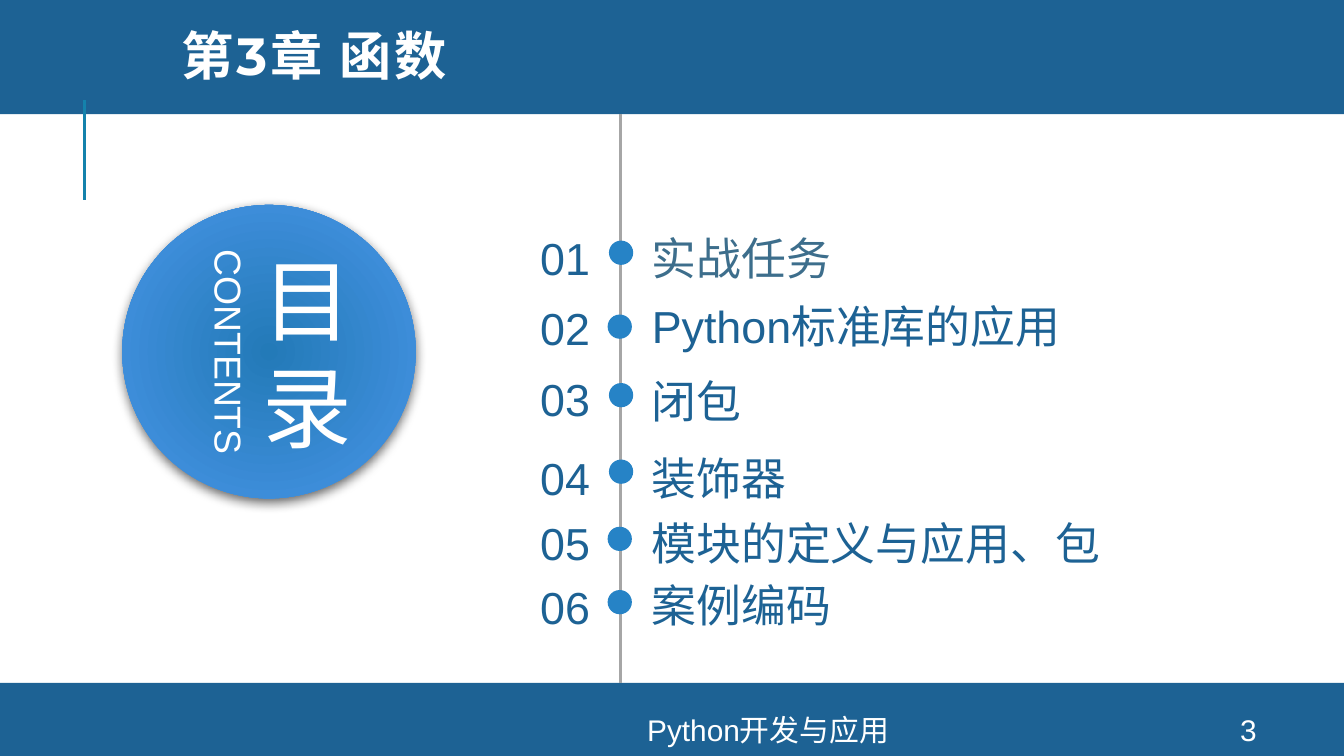
from dataclasses import dataclass
from lxml.etree import SubElement
from pptx import Presentation
from pptx.dml.color import RGBColor
from pptx.enum.shapes import MSO_CONNECTOR, MSO_SHAPE
from pptx.enum.text import MSO_ANCHOR, MSO_AUTO_SIZE, PP_ALIGN
from pptx.oxml import parse_xml
from pptx.oxml.ns import nsdecls, qn
from pptx.util import Pt

COLORS = {
    "band": "1D6294", "accent": "1482AC", "divider": "A6A6A6",
    "dot": "2683C6", "muted": "3D6E8C", "white": "FFFFFF",
    "disc_in": "237AB8", "disc_out": "4895E7", "shadow": "000000",
}


@dataclass
class Box:
    x: float
    y: float
    w: float
    h: float

    def lengths(self) -> tuple:
        return Pt(self.x), Pt(self.y), Pt(self.w), Pt(self.h)


@dataclass
class Style:
    size: float
    color: str = "white"
    align: PP_ALIGN = PP_ALIGN.CENTER
    anchor: MSO_ANCHOR = MSO_ANCHOR.MIDDLE
    font: str = "Arial"
    bold: bool = False
    spacing: float = 0
    inset: bool = True
    grow: bool = False


@dataclass
class Entry:
    label: str
    number_y: float
    label_y: float
    dot_x: float
    dot_y: float
    color: str = "band"


ENTRIES = [
    Entry("实战任务", 123.8, 123.8, 326.2, 128.9, "muted"),
    Entry("Python标准库的应用", 161.3, 159.8, 325.5, 168.5),
    Entry("闭包", 199.4, 200.2, 326.2, 205.2),
    Entry("装饰器", 241.2, 241.2, 326.2, 246.2),
    Entry("模块的定义与应用、包", 276.5, 276.5, 325.5, 282.2),
    Entry("案例编码", 310.3, 309.6, 325.5, 316.1),
]


def rgb(name: str) -> RGBColor:
    return RGBColor.from_string(COLORS[name])


def write(sp, lines: list[str], style: Style) -> None:
    tf = sp.text_frame
    tf.word_wrap = True
    tf.auto_size = MSO_AUTO_SIZE.SHAPE_TO_FIT_TEXT if style.grow else MSO_AUTO_SIZE.NONE
    tf.vertical_anchor = style.anchor
    if not style.inset:
        tf.margin_left = tf.margin_top = tf.margin_right = tf.margin_bottom = 0
    for i, line in enumerate(lines):
        p = tf.paragraphs[0] if i == 0 else tf.add_paragraph()
        p.alignment = style.align
        r = p.add_run()
        r.text = line
        if style.spacing:
            r._r.get_or_add_rPr().set("spc", str(int(style.spacing * 100)))
        p.font.name = style.font
        p.font.size = Pt(style.size)
        p.font.bold = style.bold
        p.font.color.rgb = rgb(style.color)


def add_text(s, box: Box, lines: list[str], style: Style, rotation: float = 0) -> None:
    sp = s.shapes.add_textbox(*box.lengths())
    sp.rotation = rotation
    write(sp, lines, style)


def add_filled(s, kind: MSO_SHAPE, box: Box, color: str):
    sp = s.shapes.add_shape(kind, *box.lengths())
    sp.shadow.inherit = False
    sp.fill.solid()
    sp.fill.fore_color.rgb = rgb(color)
    sp.line.fill.background()
    return sp


def add_vertical(s, x: float, top: float, bottom: float, color: str) -> None:
    line = s.shapes.add_connector(MSO_CONNECTOR.STRAIGHT, Pt(x), Pt(top), Pt(x), Pt(bottom))
    line.line.color.rgb = rgb(color)
    line.line.width = Pt(1.5)
    SubElement(line._element.spPr, qn("a:effectLst"))


def add_disc(s, box: Box) -> None:
    sp = add_filled(s, MSO_SHAPE.OVAL, box, "disc_in")
    pr = sp._element.spPr
    gradient = parse_xml(
        f'<a:gradFill {nsdecls("a")} rotWithShape="1"><a:gsLst>'
        f'<a:gs pos="0"><a:srgbClr val="{COLORS["disc_in"]}"/></a:gs>'
        f'<a:gs pos="100000"><a:srgbClr val="{COLORS["disc_out"]}"/></a:gs></a:gsLst>'
        '<a:path path="circle"><a:fillToRect l="100000" t="100000" r="100000" b="100000"/>'
        '</a:path></a:gradFill>')
    pr.replace(pr.find(qn("a:solidFill")), gradient)
    pr.find(qn("a:effectLst")).append(parse_xml(
        f'<a:outerShdw {nsdecls("a")} blurRad="{Pt(6)}" dist="{Pt(2)}" dir="5400000" '
        f'algn="t" rotWithShape="0"><a:srgbClr val="{COLORS["shadow"]}">'
        '<a:alpha val="60000"/></a:srgbClr></a:outerShdw>'))


def add_entry(s, number: int, entry: Entry) -> None:
    add_filled(s, MSO_SHAPE.OVAL, Box(entry.dot_x, entry.dot_y, 13, 13), "dot")
    common = dict(size=24, anchor=MSO_ANCHOR.TOP, inset=False, grow=True)
    add_text(s, Box(273.6, entry.number_y, 42.5, 29), [f"{number:02}"],
             Style(color="band", align=PP_ALIGN.RIGHT, **common))
    add_text(s, Box(349.2, entry.label_y, 242.6, 29), [entry.label],
             Style(color=entry.color, align=PP_ALIGN.LEFT, **common))


def main() -> None:
    prs = Presentation()
    prs.slide_width, prs.slide_height = Pt(720), Pt(405)
    s = prs.slides.add_slide(prs.slide_layouts[5])

    add_filled(s, MSO_SHAPE.RECTANGLE, Box(0, -2, 720, 63.2), "band")
    add_filled(s, MSO_SHAPE.RECTANGLE, Box(0, 365.8, 720, 39.2), "band")
    add_vertical(s, 45.2, 53.5, 107.2, "accent")
    add_vertical(s, 332.6, 61.2, 365.8, "divider")

    add_disc(s, Box(65.5, 109.8, 157.2, 157.2))
    add_text(s, Box(113.8, 116, 101.5, 145.4), ["目", "录"],
             Style(48, spacing=6, inset=False))
    add_text(s, Box(46.8, 172.8, 151.9, 31.5), ["CONTENTS"],
             Style(20, anchor=MSO_ANCHOR.TOP, grow=True), rotation=90)

    add_text(s, Box(187.9, 382.3, 447.1, 16.6), ["Python开发与应用"], Style(16))
    add_text(s, Box(640, 382.3, 57.6, 16.6), ["3"], Style(16))

    title = s.shapes.title
    title.left, title.top, title.width, title.height = Box(90, 6.5, 594.7, 51.8).lengths()
    write(title, ["第3章 函数"],
          Style(28, align=PP_ALIGN.LEFT, font="Montserrat", bold=True, spacing=1.5))
    title.text_frame.paragraphs[0].line_spacing = 0.8
    s.shapes._spTree.append(title._element)

    for number, entry in enumerate(ENTRIES, 1):
        add_entry(s, number, entry)

    prs.save("out.pptx")


if __name__ == "__main__":
    main()
